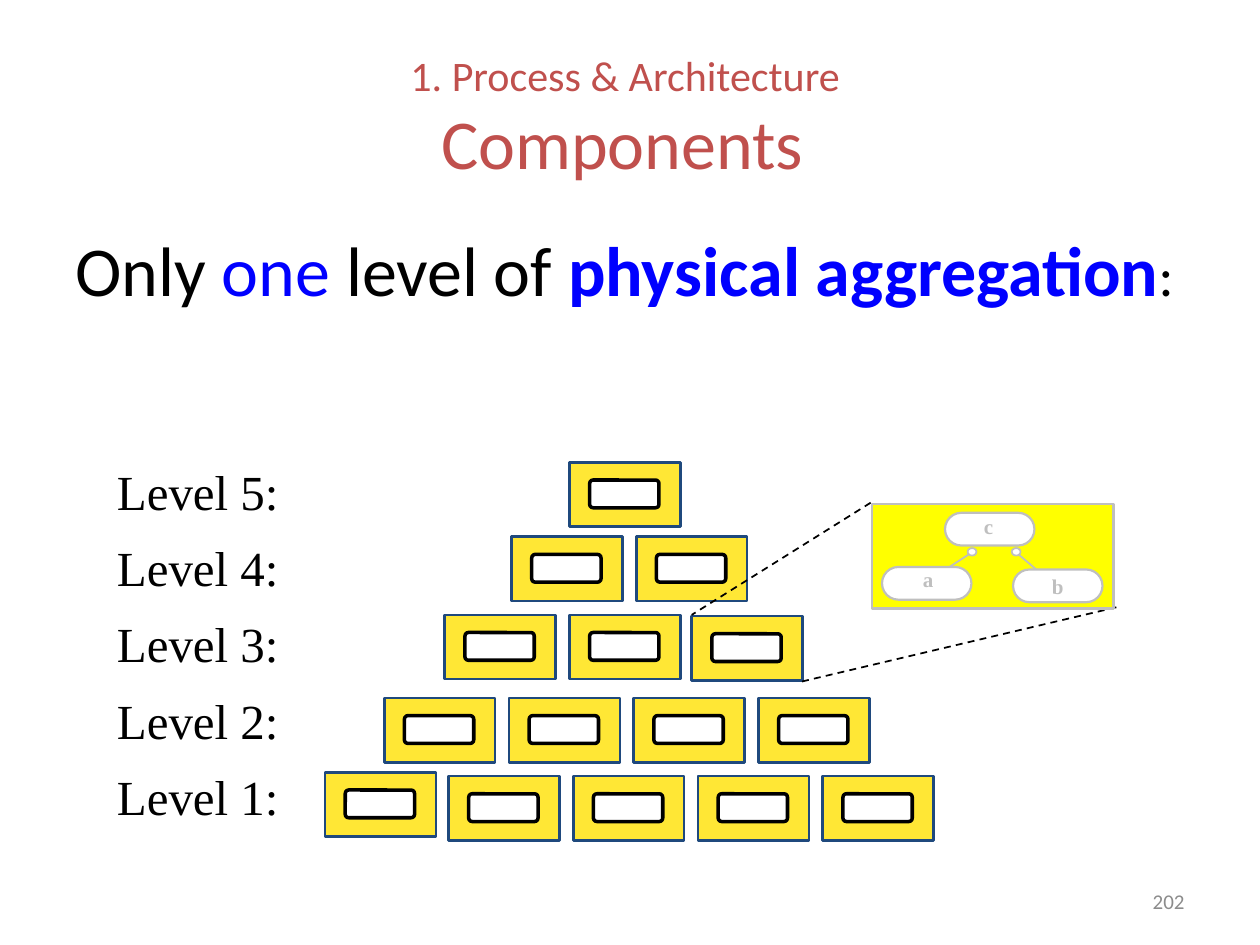
import pptx
import pptx.util
import pptx.dml.color
import pptx.enum.dml
import pptx.enum.shapes
import pptx.enum.text
import pptx.oxml.ns
import lxml.etree

Inches = pptx.util.Inches
Pt = pptx.util.Pt
SHAPE = pptx.enum.shapes.MSO_SHAPE
ALIGN = pptx.enum.text.PP_ALIGN
ANCHOR = pptx.enum.text.MSO_ANCHOR

BLACK, WHITE, BLUE, GREY = "000000", "FFFFFF", "0000FF", "BFBFBF"
RED, NAVY, GOLD, YELLOW, PAGE_GREY = "C0504D", "1F497D", "FFE735", "FFFF00", "8C8C8C"
SANS, SERIF = "Calibri", "Times New Roman"


def rgb(value):
    """Return the colour for a hex string."""
    return pptx.dml.color.RGBColor.from_string(value)


def add_run(paragraph, words, size, font, colour, bold=False):
    """Add one formatted run to a paragraph."""
    run = paragraph.add_run()
    run.text = words
    run.font.size = Pt(size)
    run.font.name = font
    run.font.bold = bold
    run.font.color.rgb = rgb(colour)


def add_text_frame(slide, left, top, width, height, wrap=True, anchor=ANCHOR.TOP):
    """Add a text box and return its text frame."""
    frame = slide.shapes.add_textbox(left, top, width, height).text_frame
    frame.word_wrap = wrap
    frame.vertical_anchor = anchor
    return frame


def add_block(shapes, preset, left, top, width, height, fill, line, weight, rounding=None):
    """Add a filled and outlined preset shape."""
    block = shapes.add_shape(preset, left, top, width, height)
    block.shadow.inherit = False
    block.fill.solid()
    block.fill.fore_color.rgb = rgb(fill)
    block.line.color.rgb = rgb(line)
    block.line.width = Pt(weight)
    if rounding is not None:
        block.adjustments[0] = rounding


def add_line(slide, start, end, colour, dashed=False):
    """Add a thin straight line between two points."""
    line = slide.shapes.add_connector(pptx.enum.shapes.MSO_CONNECTOR.STRAIGHT, *start, *end)
    line.line.color.rgb = rgb(colour)
    line.line.width = Pt(1)
    if dashed:
        line.line.dash_style = pptx.enum.dml.MSO_LINE.DASH
    properties = line.element.find(pptx.oxml.ns.qn("p:spPr"))
    lxml.etree.SubElement(properties, pptx.oxml.ns.qn("a:effectLst"))


def add_title(slide, left, top, width, height):
    """Place the section name above the slide title."""
    frame = add_text_frame(slide, left, top, width, height, anchor=ANCHOR.MIDDLE)
    title = frame.paragraphs[0]
    title.alignment = ALIGN.CENTER
    add_run(title, "1. Process & Architecture ", 24, SANS, RED)
    title.add_line_break()
    add_run(title, "Components ", 40, SANS, RED)


def add_statement(slide, left, top, width, height):
    """Place the main statement."""
    statement = add_text_frame(slide, left, top, width, height).paragraphs[0]
    for words, size, colour, bold in (
        ("Only ", 40, BLACK, False),
        ("one", 40, BLUE, False),
        (" level of ", 40, BLACK, False),
        ("physical aggregation", 40, BLUE, True),
        (":", 32, BLACK, False),
    ):
        add_run(statement, words, size, SANS, colour, bold)


def add_level_labels(slide, left, top, width, height):
    """Place the level names from the highest to the lowest."""
    frame = add_text_frame(slide, left, top, width, height, wrap=False)
    for level in range(5, 0, -1):
        label = frame.paragraphs[0] if level == 5 else frame.add_paragraph()
        label.line_spacing = 1.3
        add_run(label, f"Level {level}:", 28, SERIF, BLACK)


def add_component(slide, left, top):
    """Place one component with its inner box."""
    parts = slide.shapes.add_group_shape().shapes
    add_block(parts, SHAPE.RECTANGLE, left, top, Inches(0.88), Inches(0.51), GOLD, NAVY, 1.5)
    add_block(parts, SHAPE.ROUNDED_RECTANGLE, left + Inches(0.16), top + Inches(0.14),
              Inches(0.55), Inches(0.22), WHITE, BLACK, 2, 0.125)


def add_pyramid(slide, left, top):
    """Place the rows of components, each as offset, height and count."""
    rows = ((1.94, 0, 1), (1.48, 0.59, 2), (0.95, 1.21, 2), (2.91, 1.22, 1),
            (0.47, 1.87, 4), (0.98, 2.49, 4), (0, 2.46, 1))
    for offset, drop, count in rows:
        for column in range(count):
            add_component(slide, left + Inches(offset + 0.99 * column), top + Inches(drop))


def add_detail(slide, left, top, width, height):
    """Place the enlarged component with its parts a, b and c."""
    def at(x, y):
        return left + Inches(x), top + Inches(y)

    def add_part(x, y):
        add_block(slide.shapes, SHAPE.ROUNDED_RECTANGLE, *at(x, y),
                  Inches(0.71), Inches(0.26), WHITE, GREY, 1.25, 0.5)

    add_block(slide.shapes, SHAPE.RECTANGLE, left, top, width, height, YELLOW, GREY, 1.5)
    add_line(slide, at(0.43, 0.62), at(0.8, 0.38), GREY)
    add_line(slide, at(1.34, 0.55), at(1.14, 0.38), GREY)
    for x, y in ((0.08, 0.5), (0.58, 0.07), (1.12, 0.52)):
        add_part(x, y)
    for x in (0.76, 1.11):
        add_block(slide.shapes, SHAPE.OVAL, *at(x, 0.35), Inches(0.07), Inches(0.06),
                  WHITE, GREY, 1)
    for name, x, y in (("a", 0.3, 0.45), ("b", 1.33, 0.5), ("c", 0.78, 0.03)):
        frame = add_text_frame(slide, *at(x, y), Inches(0.29), Inches(0.3), wrap=False)
        frame.paragraphs[0].alignment = ALIGN.CENTER
        add_run(frame.paragraphs[0], name, 12, SERIF, GREY, True)


def add_page_number(slide, left, top, width, height):
    """Place the page number."""
    frame = add_text_frame(slide, left, top, width, height, anchor=ANCHOR.MIDDLE)
    frame.paragraphs[0].alignment = ALIGN.RIGHT
    add_run(frame.paragraphs[0], "202", 12, SANS, PAGE_GREY)


def main():
    """Build and save the slide."""
    deck = pptx.Presentation()
    deck.slide_width, deck.slide_height = Inches(10), Inches(7.5)
    slide = deck.slides.add_slide(deck.slide_layouts[6])
    add_title(slide, Inches(0.5), Inches(0.3), Inches(9), Inches(1.25))
    add_statement(slide, Inches(0.5), Inches(1.75), Inches(9), Inches(4.95))
    add_pyramid(slide, Inches(2.58), Inches(3.67))
    add_level_labels(slide, Inches(0.83), Inches(3.47), Inches(1.48), Inches(3.14))
    for start, end in (((6.91, 3.99), (5.49, 4.88)), ((8.86, 4.82), (6.36, 5.41))):
        add_line(slide, map(Inches, start), map(Inches, end), BLACK, dashed=True)
    add_detail(slide, Inches(6.92), Inches(4), Inches(1.92), Inches(0.83))
    add_page_number(slide, Inches(7.17), Inches(6.95), Inches(2.33), Inches(0.4))
    deck.save("out.pptx")


if __name__ == "__main__":
    main()
